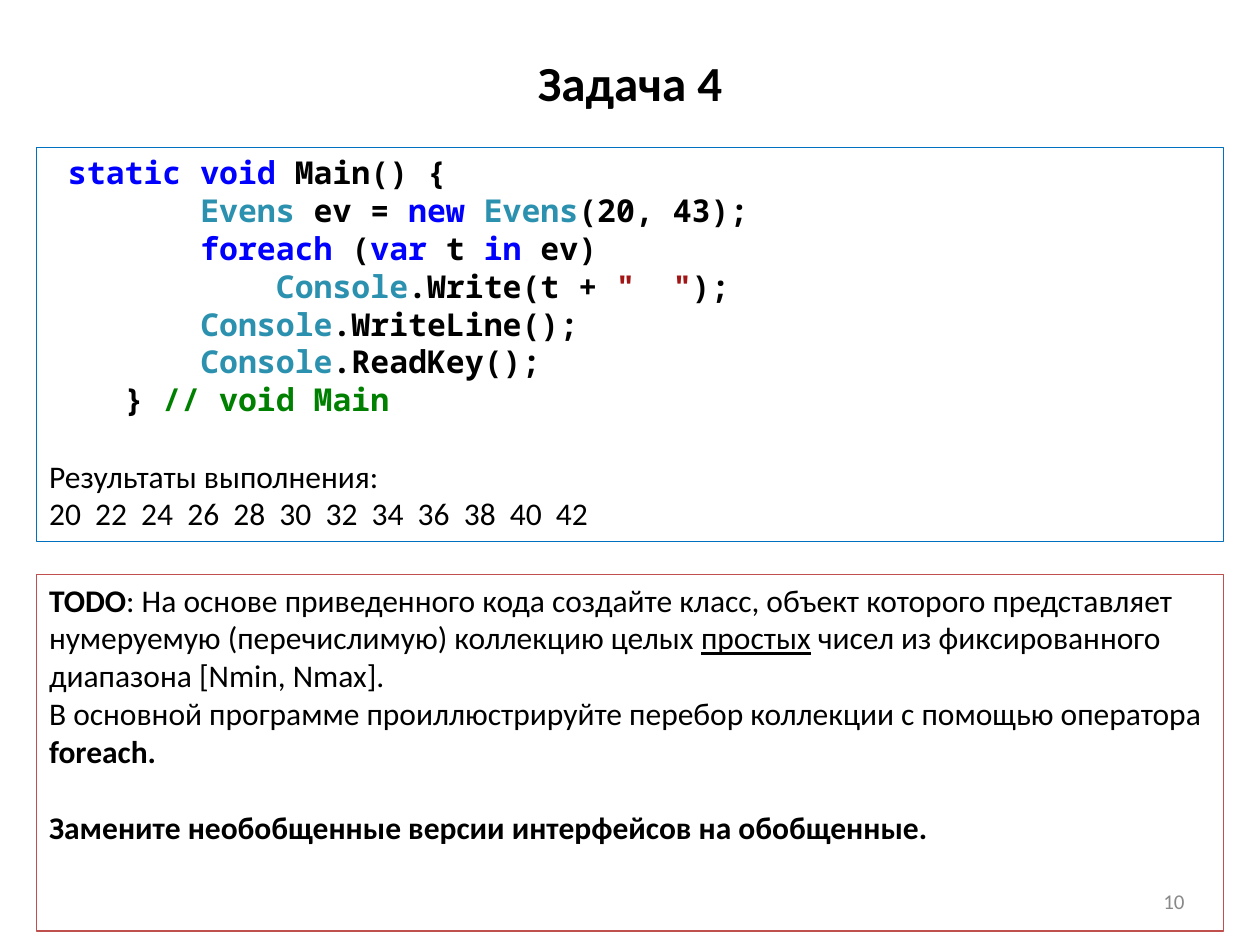
from pptx import Presentation
from pptx import util as u
from pptx.dml import color
from pptx.enum import text

BODY_FONT, CODE_FONT = "Calibri", "Noto Sans Mono"
SIZE = 18
BLANK_LINE = 22  # points
CODE_CHARACTER = SIZE * 0.6  # points, width of one monospaced letter
COLOURS = {"plain": "000000", "keyword": "0000FF", "type": "2B91AF",
           "string": "A31515", "comment": "008000"}

# Content: each code line is (indent in characters, [(text, token kind), ...])
TITLE = "Задача 4"
SLIDE_NUMBER = "10"
CODE = [
    (1, [("static", "keyword"), (" ", "plain"), ("void", "keyword"), (" Main() {", "plain")]),
    (8, [("Evens", "type"), (" ev = ", "plain"), ("new", "keyword"), (" ", "plain"),
         ("Evens", "type"), ("(20, 43);", "plain")]),
    (8, [("foreach", "keyword"), (" (", "plain"), ("var", "keyword"), (" t ", "plain"),
         ("in", "keyword"), (" ev)", "plain")]),
    (12, [("Console", "type"), (".Write(t + ", "plain"), ('"  "', "string"), (");", "plain")]),
    (8, [("Console", "type"), (".WriteLine();", "plain")]),
    (8, [("Console", "type"), (".ReadKey();", "plain")]),
    (4, [("} ", "plain"), ("// void Main", "comment")]),
]
RESULTS = ["Результаты выполнения:", "20  22  24  26  28  30  32  34  36  38  40  42"]

# Each task paragraph is (space before, [(text, style), ...])
TASK = [
    (0, [("TODO", "bold"),
         (": На основе приведенного кода создайте класс, объект которого представляет "
          "нумеруемую (перечислимую) коллекцию целых ", ""),
         ("простых", "underline"),
         (" чисел из фиксированного диапазона [Nmin, Nmax].", "")]),
    (0, [("В основной программе проиллюстрируйте перебор коллекции с помощью оператора ", ""),
         ("foreach.", "bold")]),
    (BLANK_LINE, [("Замените необобщенные версии интерфейсов на обобщенные.", "bold")]),
]

# Boxes: left, top, width, height in centimetres
TITLE_BOX = (1.27, 0.76, 22.86, 1.78)
NUMBER_BOX = (18.21, 17.65, 5.92, 1.02)
CODE_BOX = (0.74, 2.97, 23.92, 7.95)
TASK_BOX = (0.74, 11.58, 23.92, 7.19)


def rgb(value):
    return color.RGBColor.from_string(value)


def add_box(slide, box, anchor=text.MSO_ANCHOR.TOP, outline=None):
    shape = slide.shapes.add_textbox(*map(u.Cm, box))
    frame = shape.text_frame
    frame.word_wrap = True
    frame.vertical_anchor = anchor
    if outline:
        shape.line.color.rgb = rgb(outline)
        shape.line.width = u.Pt(0.75)
    return frame


def add_paragraph(frame, align=text.PP_ALIGN.LEFT, before=0, indent=0):
    first = frame.paragraphs[0]
    paragraph = frame.add_paragraph() if first.runs else first
    paragraph.alignment = align
    paragraph.space_before = u.Pt(before)
    if indent:
        properties = paragraph._p.get_or_add_pPr()
        properties.set("marL", str(int(u.Pt(indent))))
        properties.set("indent", "0")
    return paragraph


def add_run(paragraph, words, font=BODY_FONT, size=SIZE, colour="000000",
            bold=False, underline=False):
    run = paragraph.add_run()
    run.text = words
    run.font.name = font
    run.font.size = u.Pt(size)
    run.font.bold = bold
    run.font.underline = underline
    run.font.color.rgb = rgb(colour)


def main():
    presentation = Presentation()
    presentation.slide_width, presentation.slide_height = u.Cm(25.4), u.Cm(19.05)
    slide = presentation.slides.add_slide(presentation.slide_layouts[6])

    # Title and slide number
    frame = add_box(slide, TITLE_BOX, text.MSO_ANCHOR.MIDDLE)
    add_run(add_paragraph(frame, text.PP_ALIGN.CENTER), TITLE, size=28, bold=True)
    frame = add_box(slide, NUMBER_BOX, text.MSO_ANCHOR.MIDDLE)
    add_run(add_paragraph(frame, text.PP_ALIGN.RIGHT), SLIDE_NUMBER, size=12, colour="898989")

    # Code with its output
    frame = add_box(slide, CODE_BOX, outline="0070C0")
    for characters, tokens in CODE:
        paragraph = add_paragraph(frame, indent=characters * CODE_CHARACTER)
        for words, kind in tokens:
            add_run(paragraph, words, CODE_FONT, colour=COLOURS[kind], bold=True)
    for index, line in enumerate(RESULTS):
        add_run(add_paragraph(frame, before=0 if index else BLANK_LINE), line)

    # Task
    frame = add_box(slide, TASK_BOX, outline="C0504D")
    for before, pieces in TASK:
        paragraph = add_paragraph(frame, before=before)
        for words, style in pieces:
            add_run(paragraph, words, bold=style == "bold", underline=style == "underline")

    presentation.save("out.pptx")


if __name__ == "__main__":
    main()
